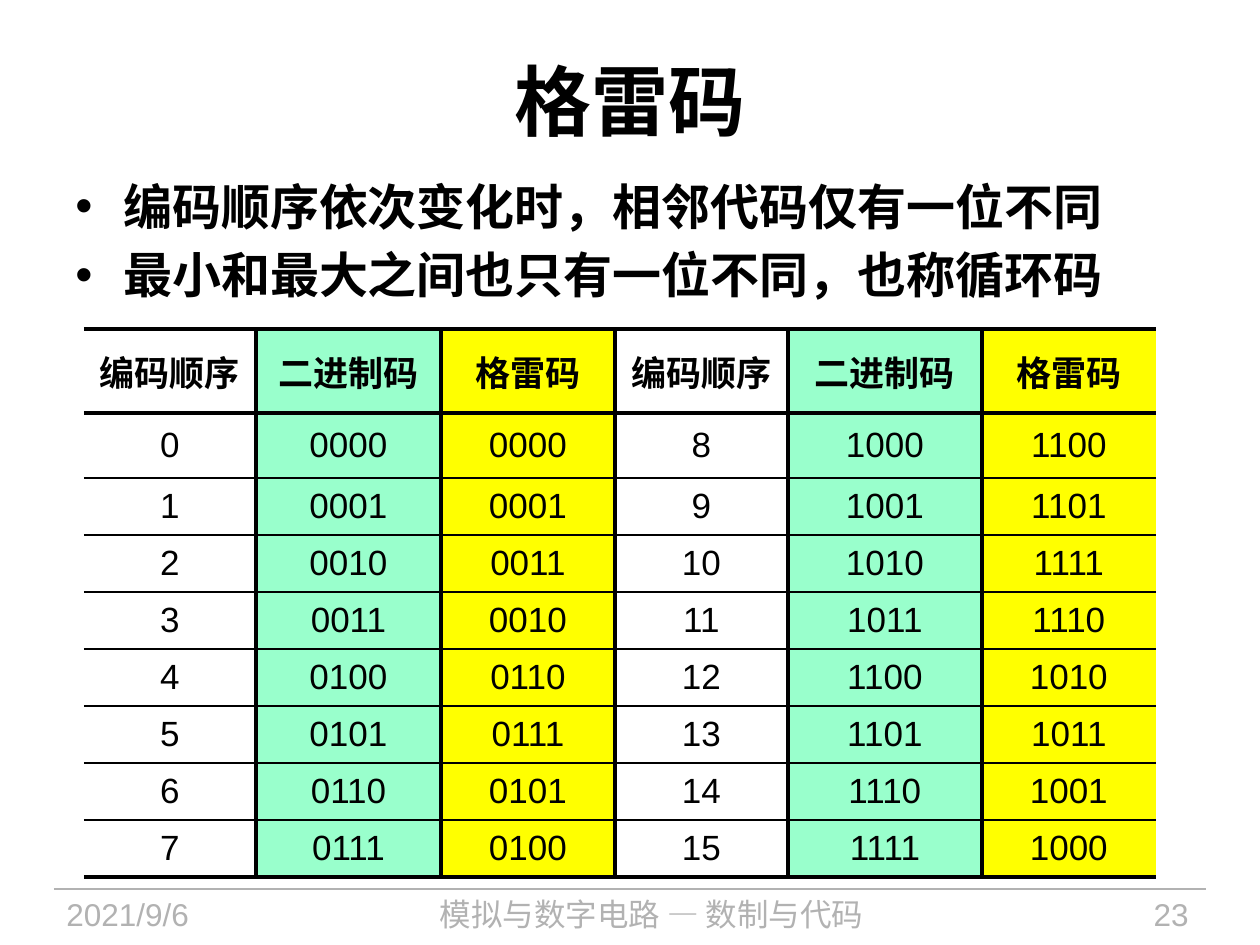
from lxml import etree
from pptx import Presentation
from pptx.dml.color import RGBColor
from pptx.enum.lang import MSO_LANGUAGE_ID
from pptx.enum.shapes import MSO_CONNECTOR
from pptx.enum.text import MSO_ANCHOR, PP_ALIGN
from pptx.oxml.ns import qn
from pptx.util import Emu, Pt

LEFT, CENTER, RIGHT = PP_ALIGN.LEFT, PP_ALIGN.CENTER, PP_ALIGN.RIGHT
TOP, MIDDLE = MSO_ANCHOR.TOP, MSO_ANCHOR.MIDDLE
STRAIGHT = MSO_CONNECTOR.STRAIGHT
CHINESE = MSO_LANGUAGE_ID.SIMPLIFIED_CHINESE
COLORS = {"text": "000000", "footer": "B2B2B2", "binary": "99FFCC", "gray_code": "FFFF00"}
FONT = "Arial"
THICK, THIN = 2.25, 1
COL_WIDTHS = [172, 185, 174, 173, 194, 174]
ROW_HEIGHTS = [84, 65] + [57] * 7
HEADERS = ["编码顺序", "二进制码", "格雷码"]
COL_FILLS = [None, "binary", "gray_code"]


def px(n):
    """Turn pixels at 126 to the inch into EMU."""
    return Emu(round(n * 914400 / 126))


def rgb(name):
    """Look up a named colour."""
    return RGBColor.from_string(COLORS[name])


def format_paragraph(p, size, color="text", bold=False, align=LEFT):
    """Align a paragraph and style its runs."""
    p.alignment = align
    for r in p.runs:
        f = r.font
        f.name, f.size, f.bold = FONT, Pt(size), bold
        f.color.rgb = rgb(color)
        f.language_id = CHINESE


def add_text(s, box, text, size, anchor=TOP, **style):
    """Add a wrapped text box and return its text frame."""
    tf = s.shapes.add_textbox(*map(px, box)).text_frame
    tf.word_wrap = True
    tf.vertical_anchor = anchor
    tf.text = text
    for p in tf.paragraphs:
        format_paragraph(p, size, **style)
    return tf


def add_bullets(tf, indent, gap):
    """Give every paragraph a hanging bullet and space after it."""
    for p in tf.paragraphs:
        p.space_after = Pt(gap)
        pPr = p._p.get_or_add_pPr()
        pPr.set("marL", str(px(indent)))
        pPr.set("indent", str(-px(indent)))
        etree.SubElement(pPr, qn("a:buFont")).set("typeface", FONT)
        etree.SubElement(pPr, qn("a:buChar")).set("char", "•")


def add_line(s, x1, x2, y, color, width):
    """Add a horizontal line without a shadow."""
    line = s.shapes.add_connector(STRAIGHT, px(x1), px(y), px(x2), px(y))
    line.line.color.rgb = rgb(color)
    line.line.width = Pt(width)
    etree.SubElement(line._element.spPr, qn("a:effectLst"))


def set_border(cell, side, width):
    """Draw one cell edge, or clear it when the width is zero."""
    ln = etree.SubElement(cell._tc.get_or_add_tcPr(), qn("a:ln" + side))
    if width:
        ln.set("w", str(Pt(width)))
        fill = etree.SubElement(ln, qn("a:solidFill"))
        etree.SubElement(fill, qn("a:srgbClr")).set("val", COLORS["text"])
    else:
        etree.SubElement(ln, qn("a:noFill"))


def code_row(n):
    """Return the order, binary code and Gray code of a number."""
    return [str(n), f"{n:04b}", f"{n ^ n >> 1:04b}"]


def add_code_table(s, x, y):
    """Add the table that pairs codes 0 to 7 with codes 8 to 15."""
    rows = [HEADERS * 2] + [code_row(n) + code_row(n + 8) for n in range(8)]
    last_row, last_col = len(rows) - 1, len(COL_WIDTHS) - 1
    frame = s.shapes.add_table(len(rows), len(COL_WIDTHS), px(x), px(y),
                               px(sum(COL_WIDTHS)), px(sum(ROW_HEIGHTS)))
    table = frame.table
    table.first_row = table.horz_banding = False
    for col, width in zip(table.columns, COL_WIDTHS):
        col.width = px(width)
    for i, values in enumerate(rows):
        table.rows[i].height = px(ROW_HEIGHTS[i])
        for j, value in enumerate(values):
            cell = table.cell(i, j)
            cell.text = value
            cell.vertical_anchor = MIDDLE
            format_paragraph(cell.text_frame.paragraphs[0], 20, bold=i == 0, align=CENTER)
            set_border(cell, "L", THICK if j else 0)
            set_border(cell, "R", THICK if j < last_col else 0)
            set_border(cell, "T", THIN if i else THICK)
            set_border(cell, "B", THIN if i < last_row else THICK)
            color = COL_FILLS[j % 3]
            if color:
                cell.fill.solid()
                cell.fill.fore_color.rgb = rgb(color)
            else:
                cell.fill.background()


def add_footer(s):
    """Add the footer rule, date, course name and page number."""
    add_line(s, 54, 1206, 889, "footer", 0.75)
    for x, w, text, align in [(54, 237, "2021/9/6", LEFT),
                              (314, 675, "模拟与数字电路 — 数制与代码", CENTER),
                              (1033, 168, "23", RIGHT)]:
        add_text(s, (x, 889, w, 56), text, 18, color="footer", align=align)


def main():
    """Build the Gray code slide."""
    prs = Presentation()
    prs.slide_width, prs.slide_height = px(1260), px(945)
    s = prs.slides.add_slide(prs.slide_layouts[6])
    add_footer(s)
    add_text(s, (63, 21, 1134, 158), "格雷码", 44, MIDDLE, bold=True, align=CENTER)
    tf = add_text(s, (63, 170, 1123, 169),
                  "编码顺序依次变化时，相邻代码仅有一位不同\n最小和最大之间也只有一位不同，也称循环码",
                  28, bold=True)
    add_bullets(tf, 48, 5.6)
    add_code_table(s, 84, 329)
    add_line(s, 84, 1156, 413, "text", THICK)
    prs.save("out.pptx")


main()
